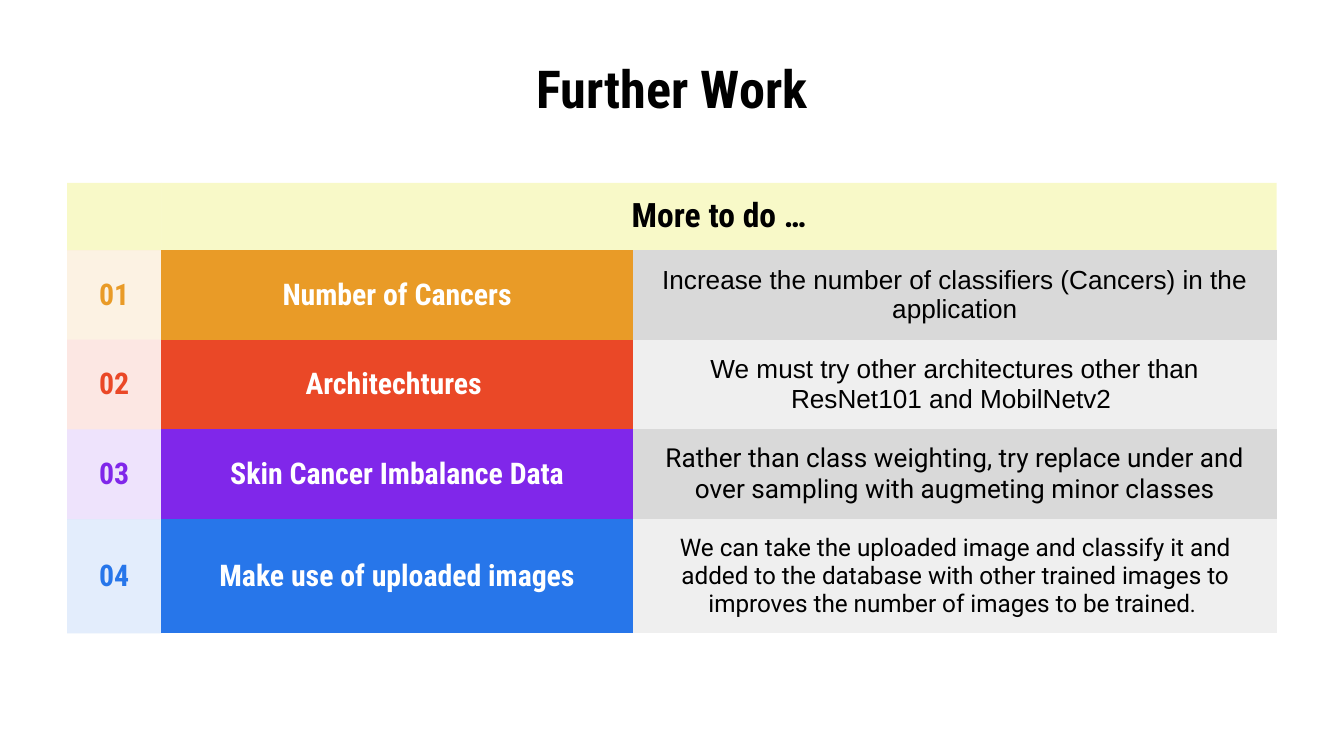
from dataclasses import dataclass

from pptx import Presentation
from pptx.dml.color import RGBColor
from pptx.enum.text import MSO_ANCHOR, PP_ALIGN
from pptx.oxml.ns import qn
from pptx.util import Inches, Pt
from lxml.etree import SubElement

BLACK = RGBColor(0x00, 0x00, 0x00)
WHITE = RGBColor(0xFF, 0xFF, 0xFF)
YELLOW = RGBColor(0xE4, 0xEA, 0x27)
ORANGE = RGBColor(0xE9, 0x9B, 0x27)
RED = RGBColor(0xEA, 0x48, 0x27)
PURPLE = RGBColor(0x80, 0x27, 0xEA)
BLUE = RGBColor(0x27, 0x76, 0xEA)
STRIPES = (RGBColor(0xD9, 0xD9, 0xD9), RGBColor(0xEF, 0xEF, 0xEF))

# Widescreen slide, 16 to 9
SLIDE_WIDTH = Inches(10)
SLIDE_HEIGHT = SLIDE_WIDTH * 9 // 16
MARGIN = SLIDE_WIDTH // 20
CONTENT_WIDTH = SLIDE_WIDTH - 2 * MARGIN
COLUMN_WIDTHS = (0.7, 3.51, 4.79)
ROW_HEIGHTS = (0.49, 0.63, 0.64, 0.65, 0.83)
HEADING_FONT = "Roboto Condensed"
NO_STYLE_NO_GRID = "{2D5ABB26-0587-4C30-8999-92F81FD0307C}"


@dataclass
class Task:
    topic: str
    detail: str
    color: RGBColor
    detail_font: str
    detail_size: int = 14
    ending: str = ""


TASKS = (
    Task("Number of Cancers",
         "Increase the number of classifiers (Cancers) in the application",
         ORANGE, "Arial"),
    Task("Architechtures ",
         "We must try other architectures other than ResNet101 and MobilNetv2 ",
         RED, "Arial"),
    Task("Skin Cancer Imbalance Data",
         "Rather than class weighting, try replace under and over sampling "
         "with augmeting minor classes",
         PURPLE, "Roboto"),
    Task("Make use of uploaded images",
         "We can take the uploaded image and classify it and added to the "
         "database with other trained images to improves the number of images "
         "to be trained",
         BLUE, "Roboto", 13, ". "),
)


def write_text(text_frame, text: str, size: int, color: RGBColor,
               font: str = HEADING_FONT, bold: bool = True) -> None:
    """Add a run to the centred paragraph."""
    paragraph = text_frame.paragraphs[0]
    paragraph.alignment = PP_ALIGN.CENTER
    run = paragraph.add_run()
    run.text = text
    for name, value in {"name": font, "size": Pt(size), "bold": bold}.items():
        setattr(run.font, name, value)
    run.font.color.rgb = color


def set_margins(container) -> None:
    for side in ("left", "top", "right", "bottom"):
        setattr(container, f"margin_{side}", Inches(0.1))


def format_cell(cell, fill: RGBColor, opacity: int = 100) -> None:
    """Fill a cell, with its opacity in percent."""
    set_margins(cell)
    cell.vertical_anchor = MSO_ANCHOR.MIDDLE
    cell.fill.solid()
    cell.fill.fore_color.rgb = fill
    if opacity < 100:
        color = cell._tc.tcPr.find(qn("a:solidFill")).find(qn("a:srgbClr"))
        SubElement(color, qn("a:alpha")).set("val", str(opacity * 1000))


def add_title(slide, text: str) -> None:
    shape = slide.shapes.add_textbox(MARGIN, int(SLIDE_HEIGHT * 0.08),
                                     CONTENT_WIDTH, Inches(0.41))
    text_frame = shape.text_frame
    text_frame.word_wrap = True
    text_frame.vertical_anchor = MSO_ANCHOR.MIDDLE
    set_margins(text_frame)
    write_text(text_frame, text, 28, BLACK)


def add_task_table(slide, heading: str, tasks: tuple[Task, ...]) -> None:
    table = slide.shapes.add_table(
        len(ROW_HEIGHTS), len(COLUMN_WIDTHS), MARGIN, Inches(1.36),
        CONTENT_WIDTH, Inches(sum(ROW_HEIGHTS))).table
    table.first_row = table.horz_banding = False
    table._tbl.tblPr.find(qn("a:tableStyleId")).text = NO_STYLE_NO_GRID
    for column, width in zip(table.columns, COLUMN_WIDTHS):
        column.width = Inches(width)
    for row, height in zip(table.rows, ROW_HEIGHTS):
        row.height = Inches(height)

    # Heading row
    for column in range(len(COLUMN_WIDTHS)):
        format_cell(table.cell(0, column), YELLOW, 25)
    table.cell(0, 1).merge(table.cell(0, 2))
    write_text(table.cell(0, 1).text_frame, heading, 18, BLACK)

    # Number, topic and detail of each task
    for row, task in enumerate(tasks, start=1):
        number, topic, detail = (table.cell(row, column) for column in range(3))
        format_cell(number, task.color, 13)
        format_cell(topic, task.color)
        format_cell(detail, STRIPES[(row - 1) % 2])
        write_text(number.text_frame, f"{row:02}", 16, task.color)
        write_text(topic.text_frame, task.topic, 16, WHITE)
        write_text(detail.text_frame, task.detail, task.detail_size, BLACK,
                   task.detail_font, bold=False)
        if task.ending:
            write_text(detail.text_frame, task.ending, task.detail_size - 1,
                       BLACK, task.detail_font, bold=False)


def main() -> None:
    presentation = Presentation()
    presentation.slide_width = SLIDE_WIDTH
    presentation.slide_height = SLIDE_HEIGHT
    slide = presentation.slides.add_slide(presentation.slide_layouts[6])
    add_title(slide, "Further Work")
    add_task_table(slide, "More to do …", TASKS)
    presentation.save("out.pptx")


if __name__ == "__main__":
    main()
